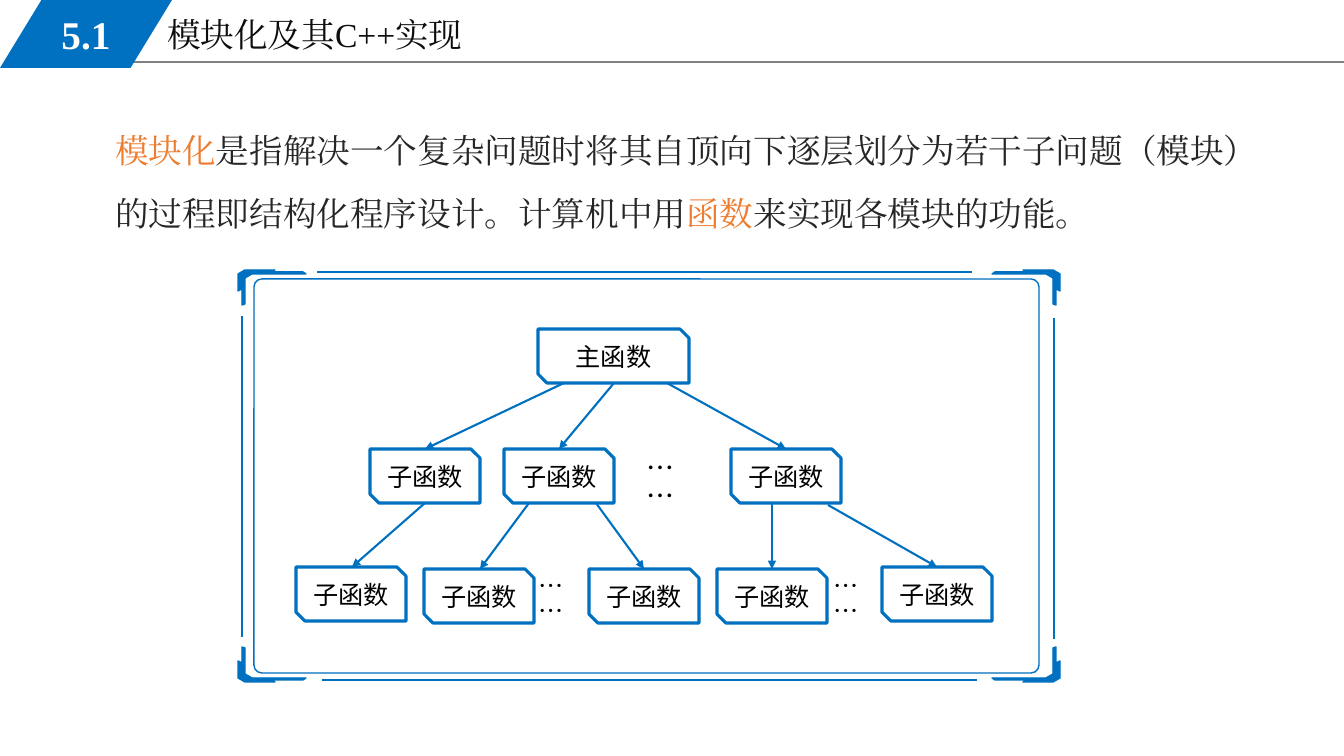
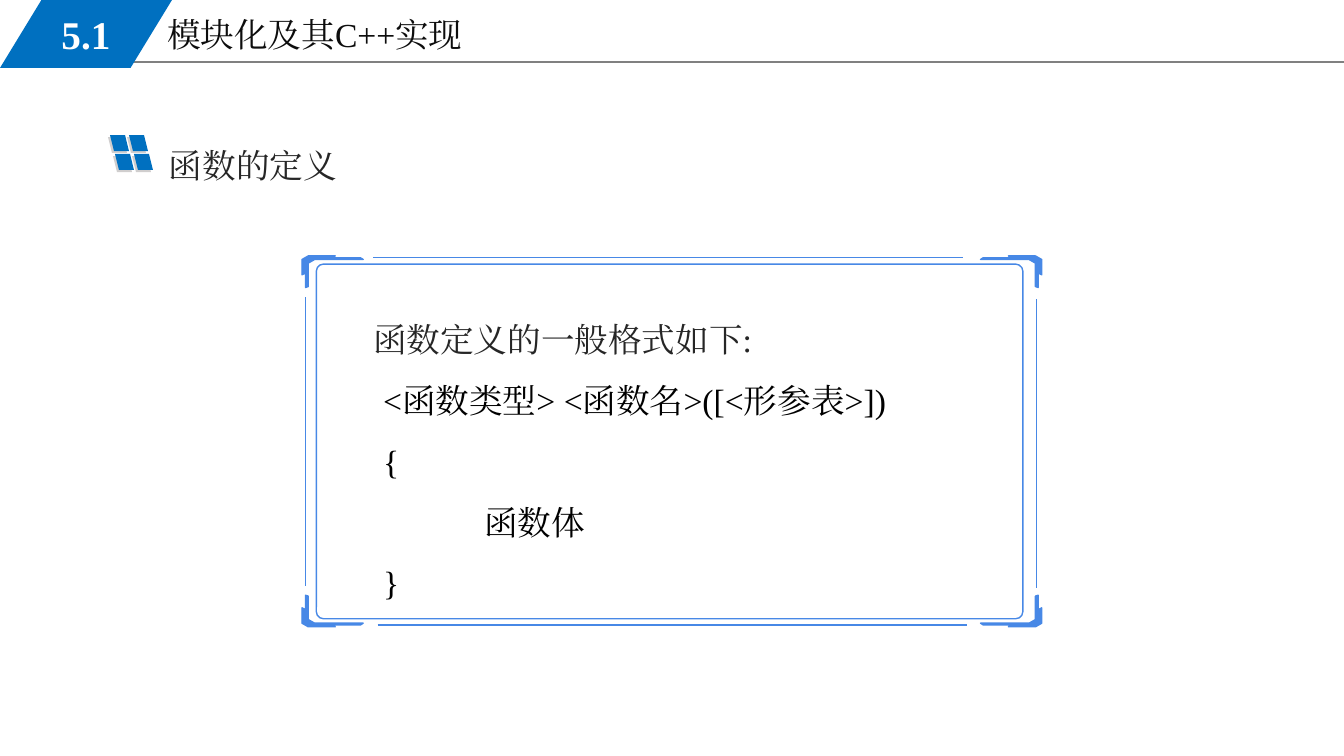
from dataclasses import dataclass

import lxml.etree
import pptx
import pptx.dml.color
import pptx.enum.lang
import pptx.enum.shapes
import pptx.enum.text
import pptx.oxml.ns
import pptx.shapes.connector
import pptx.util

PX = 9071  # EMU in one px
SHAPE = pptx.enum.shapes.MSO_SHAPE
STRAIGHT = pptx.enum.shapes.MSO_CONNECTOR.STRAIGHT
ALIGN = pptx.enum.text.PP_ALIGN
ANCHOR = pptx.enum.text.MSO_ANCHOR
AUTO_SIZE = pptx.enum.text.MSO_AUTO_SIZE
qn = pptx.oxml.ns.qn


@dataclass(frozen=True)
class Theme:
    blue: str = "0070C0"
    frame_blue: str = "4788E6"
    orange: str = "ED7D31"
    grey: str = "808080"
    tile_shade: str = "D0CECE"
    title: str = "0D0D0D"
    text: str = "262626"
    black: str = "000000"
    white: str = "FFFFFF"
    serif: str = "Times New Roman"
    sans: str = "Noto Sans CJK SC"
    number_size: int = 28
    body_size: int = 24
    dots_size: int = 20
    node_size: int = 18


T = Theme()


def add_run(p, text, color, size=T.body_size, font=T.serif, bold=False):
    r = p.add_run()
    r.text = text
    r.font.size = pptx.util.Pt(size)
    r.font.bold = bold
    r.font.color.rgb = pptx.dml.color.RGBColor.from_string(color)
    r.font.name = font
    r.font.language_id = pptx.enum.lang.MSO_LANGUAGE_ID.SIMPLIFIED_CHINESE
    ea = lxml.etree.SubElement(r._r.get_or_add_rPr(), qn("a:ea"))
    ea.set("typeface", font)


def paint(sp, line=None, width=1, fill=None):
    """Set line and fill of a shape or connector and drop its shadow."""
    if line:
        sp.line.color.rgb = pptx.dml.color.RGBColor.from_string(line)
        sp.line.width = pptx.util.Pt(width)
    else:
        sp.line.fill.background()
    if isinstance(sp, pptx.shapes.connector.Connector):
        lxml.etree.SubElement(sp.element.spPr, qn("a:effectLst"))
        return
    sp.shadow.inherit = False
    if fill:
        sp.fill.solid()
        sp.fill.fore_color.rgb = pptx.dml.color.RGBColor.from_string(fill)
    else:
        sp.fill.background()


prs = pptx.Presentation()
prs.slide_width, prs.slide_height = 1344 * PX, 756 * PX
layout = prs.slide_layouts[1]
for ph in list(layout.placeholders):
    if ph.placeholder_format.idx >= 10:
        ph.element.getparent().remove(ph.element)

# Slides with their title and body placeholders
slides = []
for body_box in ((105, 103, 1175, 132), (363, 302, 672, 298)):
    s = prs.slides.add_slide(layout)
    for sp, box in ((s.shapes.title, (157, 9, 572, 51)), (s.placeholders[1], body_box)):
        sp.left, sp.top, sp.width, sp.height = (v * PX for v in box)
        tf = sp.text_frame
        tf.word_wrap = True
        tf.auto_size = AUTO_SIZE.NONE
        tf.vertical_anchor = ANCHOR.TOP
    p = s.shapes.title.text_frame.paragraphs[0]
    p.alignment = ALIGN.LEFT
    add_run(p, "模块化及其C++实现", T.title)
    slides.append(s)
tree_slide, definition_slide = slides

# Section band, moved to the layout that both slides share
rule = tree_slide.shapes.add_connector(STRAIGHT, 114 * PX, 62 * PX, 1344 * PX, 62 * PX)
paint(rule, T.grey, 0.75)
tab = tree_slide.shapes.add_shape(SHAPE.PARALLELOGRAM, 0, 0, 172 * PX, 68 * PX)
tab.adjustments[0] = 0.61
paint(tab, fill=T.blue)
tab.text_frame.vertical_anchor = ANCHOR.MIDDLE
p = tab.text_frame.paragraphs[0]
p.alignment = ALIGN.CENTER
add_run(p, "5.1", T.white, T.number_size, bold=True)
for sp in (rule, tab):
    layout.shapes.element.append(sp.element)

# Body text: left indent in px, line spacing, space before, runs
bodies = (
    (tree_slide, (
        (0, 1.55, 0, (
            ("模块化", T.orange),
            ("是指解决一个复杂问题时将其自顶向下逐层划分为若干子问题（模块）"
             "的过程即结构化程序设计。计算机中用", T.text),
            ("函数", T.orange),
            ("来实现各模块的功能。", T.text))),
    )),
    (definition_slide, (
        (0, 1.3, 0, (("函数定义的一般格式如下:", T.text),)),
        (10, 1.3, 6, (("<函数类型> <函数名>([<形参表>])", T.black),)),
        (10, 1.3, 6, (("{", T.black),)),
        (111, 1.3, 6, (("函数体", T.black),)),
        (10, 1.3, 6, (("}", T.black),)),
    )),
)
for s, paragraphs in bodies:
    tf = s.placeholders[1].text_frame
    for i, (indent, spacing, before, runs) in enumerate(paragraphs):
        p = tf.add_paragraph() if i else tf.paragraphs[0]
        pPr = p._p.get_or_add_pPr()
        pPr.set("marL", str(indent * PX))
        pPr.set("indent", "0")
        lxml.etree.SubElement(pPr, qn("a:buNone"))
        p.line_spacing = spacing
        p.space_before = pptx.util.Pt(before)
        for text, color in runs:
            add_run(p, text, color)

# Decorated frames: one design of 822 x 412 px, scaled; the bracket is mirrored
FRAME_W, FRAME_H = 822, 412
BRACKET = ((7, 0), (37, 0), (33, 2), (65, 2), (68, 4), (14, 4),
           (7, 8), (7, 34), (4, 35), (4, 19), (0, 21), (0, 4))
EDGES = ((79, 2, 734, 2), (84, 410, 739, 410), (4, 46, 4, 367), (816, 48, 816, 369))
frames = ((tree_slide, 238, 270, 1, T.blue), (definition_slide, 302, 256, 0.9, T.frame_blue))
for s, left, top, scale, color in frames:
    unit = scale * PX
    x0, y0 = left * PX, top * PX
    panel = s.shapes.add_shape(SHAPE.ROUNDED_RECTANGLE, round(x0 + 16 * unit),
                               round(y0 + 9 * unit), round(785 * unit), round(394 * unit))
    panel.adjustments[0] = 0.02
    paint(panel, color)
    for right in (False, True):
        for bottom in (False, True):
            points = [(FRAME_W - x if right else x, FRAME_H - y if bottom else y)
                      for x, y in BRACKET]
            fb = s.shapes.build_freeform(*points[0], scale=unit)
            fb.add_line_segments(points[1:], close=True)
            paint(fb.convert_to_shape(x0, y0), color, fill=color)
    for x1, y1, x2, y2 in EDGES:
        edge = s.shapes.add_connector(STRAIGHT, round(x0 + x1 * unit), round(y0 + y1 * unit),
                                      round(x0 + x2 * unit), round(y0 + y2 * unit))
        paint(edge, color)

# Function tree
s = tree_slide
nodes = [("主函数", 538, 329, 151)]
nodes += [("子函数", x, 449, 110) for x in (370, 504, 731)]
nodes += [("子函数", x, y, 110)
          for x, y in ((296, 567), (424, 569), (589, 569), (717, 569), (882, 567))]
for text, x, y, w in nodes:
    sp = s.shapes.add_shape(SHAPE.SNIP_2_DIAG_RECTANGLE, x * PX, y * PX, w * PX, 54 * PX)
    paint(sp, T.blue, 2.25)
    sp.text_frame.vertical_anchor = ANCHOR.MIDDLE
    p = sp.text_frame.paragraphs[0]
    p.alignment = ALIGN.CENTER
    add_run(p, text, T.black, T.node_size, T.sans)

arrows = ((564, 383, 425, 449), (667, 383, 786, 449), (614, 383, 559, 449),
          (425, 503, 352, 567), (529, 503, 480, 569), (596, 503, 644, 569),
          (772, 503, 772, 569), (828, 505, 937, 567))
for ends in arrows:
    arrow = s.shapes.add_connector(STRAIGHT, *(v * PX for v in ends))
    paint(arrow, T.blue, 1.5)
    head = lxml.etree.SubElement(arrow.element.spPr.find(qn("a:ln")), qn("a:tailEnd"))
    head.set("type", "triangle")

for x, y, w, h, size in ((637, 451, 59, 44, T.dots_size),
                         (529, 570, 56, 40, T.node_size),
                         (824, 570, 56, 40, T.node_size)):
    tf = s.shapes.add_textbox(x * PX, y * PX, w * PX, h * PX).text_frame
    tf.word_wrap = True
    p = tf.paragraphs[0]
    p.line_spacing = 0.84
    add_run(p, "……", T.black, size, T.sans)

# Heading with its four-tile icon
s = definition_slide
for shift, color in ((0, T.tile_shade), (2, T.blue)):
    for col in range(2):
        for row in range(2):
            x = 108 + 19 * col + 5 * row + shift
            y = 137 + 19 * row - shift
            tile = s.shapes.add_shape(SHAPE.PARALLELOGRAM, x * PX, y * PX, 19 * PX, 16 * PX)
            tile.element.spPr.xfrm.set("flipH", "1")
            paint(tile, fill=color)
tf = s.shapes.add_textbox(159 * PX, 128 * PX, 482 * PX, 61 * PX).text_frame
tf.word_wrap = True
p = tf.paragraphs[0]
p.line_spacing = 1.3
add_run(p, "函数的定义", T.text)

prs.save("out.pptx")
